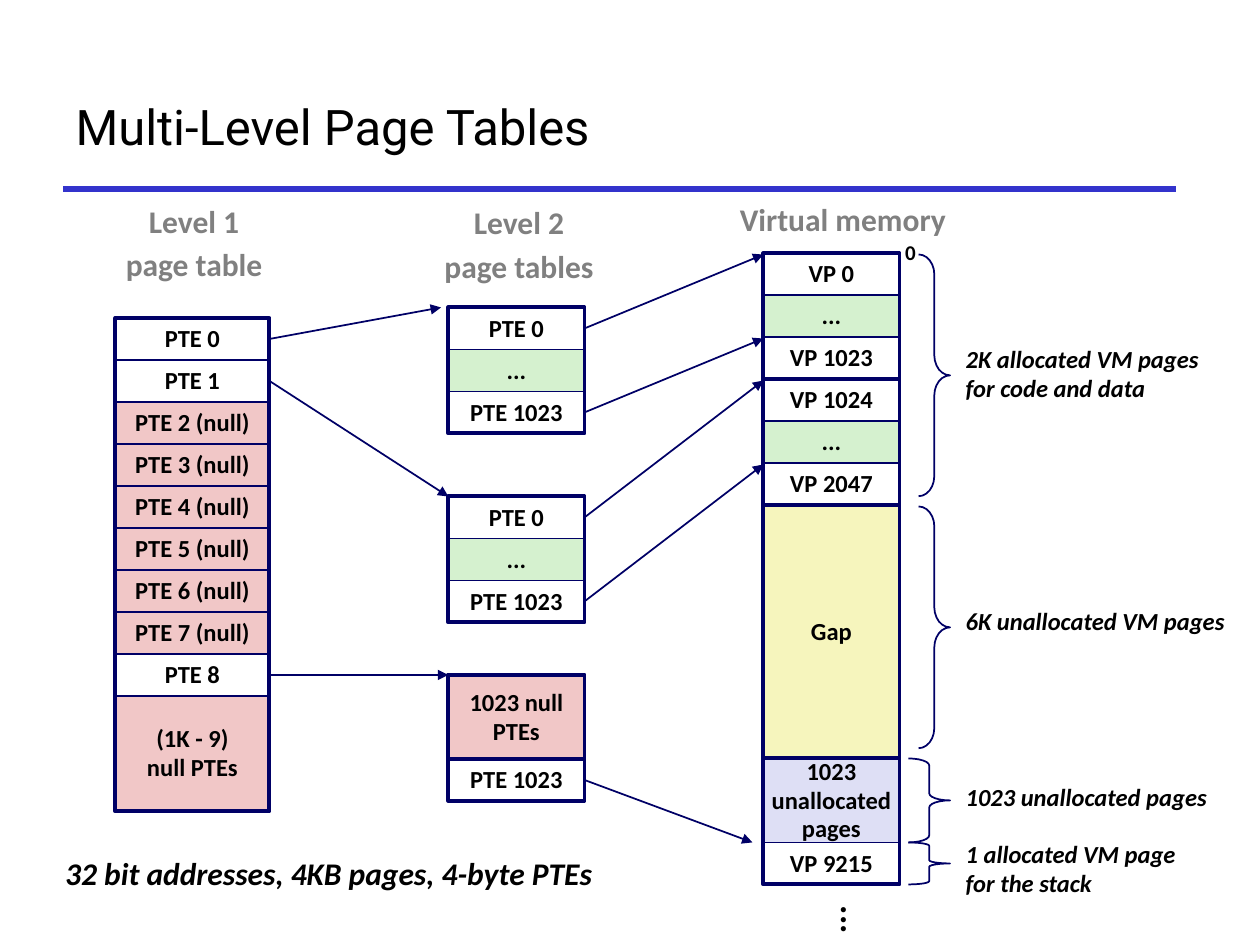
from dataclasses import dataclass

from lxml import etree
from pptx import Presentation
from pptx import util as u
from pptx.dml.color import RGBColor
from pptx.enum import shapes, text
from pptx.oxml import ns

Pt = u.Pt


@dataclass(frozen=True)
class Theme:
    title_font: str = "Roboto"
    body_font: str = "Calibri"
    black: str = "000000"
    grey: str = "808080"
    navy: str = "000066"
    rule: str = "3333CC"
    green: str = "D5F1CF"
    pink: str = "F1C7C7"
    yellow: str = "F6F5BD"
    lilac: str = "DEDFF5"
    title_size: int = 28
    dots_size: int = 20
    heading_size: int = 18
    label_size: int = 14
    mark_size: int = 12
    thin: float = 1
    thick: float = 2.25
    rule_width: float = 3


THEME = Theme()
ROW = 24
TABLE_WIDTH = 77.8
LEVEL1_LEFT, LEVEL1_WIDTH, LEVEL1_TOP = 66, 88, 181.7
LEVEL2_LEFT = 256.2
LEVEL2_TOPS = (175.7, 283.7, 385.7)
MEMORY_LEFT, MEMORY_TOP = 436.2, 144.7
GAP_HEIGHT = 144.7
GAP_TOP = MEMORY_TOP + 6 * ROW
STACK_TOP = GAP_TOP + GAP_HEIGHT
LEFT, CENTER = text.PP_ALIGN.LEFT, text.PP_ALIGN.CENTER
MIDDLE, TOP = text.MSO_ANCHOR.MIDDLE, text.MSO_ANCHOR.TOP


def write_lines(frame, lines, size, color=THEME.black, align=CENTER,
                spacing=0.98, gap=0, italic=False):
    for index, line in enumerate(lines.split("\n")):
        para = frame.paragraphs[0] if index == 0 else frame.add_paragraph()
        para.alignment = align
        para.line_spacing = spacing
        para.space_before = Pt(gap if index else 0)
        span = para.add_run()
        span.text = line
        font = span.font
        font.name, font.size = THEME.body_font, Pt(size)
        font.bold, font.italic = True, italic
        font.color.rgb = RGBColor.from_string(color)


def add_title(page, wording):
    title = page.shapes.title
    title.left, title.top, title.width, title.height = Pt(36), Pt(36), Pt(636), Pt(72)
    title.text_frame.vertical_anchor = MIDDLE
    para = title.text_frame.paragraphs[0]
    para.alignment = LEFT
    span = para.add_run()
    span.text = wording
    span.font.name, span.font.size = THEME.title_font, Pt(THEME.title_size)
    span.font.color.rgb = RGBColor.from_string(THEME.black)


def add_label(page, left, top, width, height, lines, size, anchor=MIDDLE, **style):
    box = page.shapes.add_textbox(Pt(left), Pt(top), Pt(width), Pt(height))
    frame = box.text_frame
    frame.word_wrap = False
    frame.auto_size = text.MSO_AUTO_SIZE.SHAPE_TO_FIT_TEXT
    frame.vertical_anchor = anchor
    write_lines(frame, lines, size, **style)
    return box


def add_outline(page, kind, left, top, width, height, fill=None,
                line=THEME.navy, weight=THEME.thin):
    box = page.shapes.add_shape(kind, Pt(left), Pt(top), Pt(width), Pt(height))
    box.shadow.inherit = False
    if fill:
        box.fill.solid()
        box.fill.fore_color.rgb = RGBColor.from_string(fill)
    else:
        box.fill.background()
    box.line.color.rgb = RGBColor.from_string(line)
    box.line.width = Pt(weight)
    return box


def add_cells(page, left, top, width, entries):
    cells = []
    first_top = top
    for label, fill, height, line, weight in entries:
        cell = add_outline(page, shapes.MSO_SHAPE.RECTANGLE, left, top, width,
                           height, fill, line, weight)
        cell.text_frame.word_wrap = False
        cell.text_frame.vertical_anchor = MIDDLE
        write_lines(cell.text_frame, label, THEME.label_size)
        cells.append(cell)
        top += height
    add_outline(page, shapes.MSO_SHAPE.RECTANGLE, left, first_top, width,
                top - first_top, weight=THEME.thick)
    return cells


def entry(label, fill=None, height=ROW, line=THEME.navy, weight=THEME.thin):
    return label, fill, height, line, weight


def page_range(kind, first, last):
    return [entry(f"{kind} {first}"), entry("...", THEME.green), entry(f"{kind} {last}")]


def add_line(page, start, end, color=THEME.navy, weight=THEME.thin):
    line = page.shapes.add_connector(shapes.MSO_CONNECTOR.STRAIGHT,
                                     *(Pt(value) for value in start + end))
    line.line.color.rgb = RGBColor.from_string(color)
    line.line.width = Pt(weight)
    etree.SubElement(line._element.spPr, ns.qn("a:effectLst"))
    return line


def add_arrow(page, cell, end):
    arrow = add_line(page, (0, 0), end)
    arrow.begin_connect(cell, 3)
    etree.SubElement(arrow.line._get_or_add_ln(), ns.qn("a:tailEnd"), type="triangle")


def add_brace(page, left, top, width, height, curl):
    brace = add_outline(page, shapes.MSO_SHAPE.RIGHT_BRACE, left, top, width, height)
    brace.adjustments[0] = curl


def add_headings(page):
    for left, top, width, height, lines in (
        (63.4, 114.5, 95, 51.8, "Level 1\npage table"),
        (245.5, 115.2, 102.2, 51.8, "Level 2\npage tables"),
        (414.7, 113.8, 133.9, 25.9, "Virtual memory"),
    ):
        add_label(page, left, top, width, height, lines, THEME.heading_size,
                  anchor=TOP, color=THEME.grey, spacing=0.88, gap=6)


def add_memory(page):
    for first, top in ((0, MEMORY_TOP), (1024, MEMORY_TOP + 3 * ROW)):
        add_cells(page, MEMORY_LEFT, top, TABLE_WIDTH, page_range("VP", first, first + 1023))
    add_cells(page, MEMORY_LEFT, GAP_TOP, TABLE_WIDTH,
              [entry("Gap", THEME.yellow, GAP_HEIGHT, weight=THEME.thick)])
    add_cells(page, MEMORY_LEFT, STACK_TOP, TABLE_WIDTH, [
        entry("1023\nunallocated\npages", THEME.lilac, 2 * ROW, THEME.lilac),
        entry("VP 9215"),
    ])
    add_label(page, 509.8, 133.9, 20.9, 21.6, "0", THEME.mark_size)
    dots = add_label(page, 461.5, 510.5, 39.6, 26.6, "...", THEME.dots_size,
                     anchor=TOP, align=None, spacing=0.88)
    dots.text_frame._txBody.bodyPr.set("vert", "eaVert")
    dots.text_frame.paragraphs[0]._p.get_or_add_pPr().set("rtl", "1")


def add_page_tables(page):
    null_entries = [entry(f"PTE {number} (null)", THEME.pink) for number in range(2, 8)]
    level1 = add_cells(page, LEVEL1_LEFT, LEVEL1_TOP, LEVEL1_WIDTH, [
        entry("PTE 0"), entry("PTE 1"), *null_entries, entry("PTE 8"),
        entry("(1K - 9)\nnull PTEs", THEME.pink, 66),
    ])
    full = page_range("PTE", 0, 1023)
    sparse = [entry("1023 null\nPTEs", THEME.pink, 2 * ROW, weight=THEME.thick),
              entry("PTE 1023")]
    level2 = [add_cells(page, LEVEL2_LEFT, top, TABLE_WIDTH, entries)
              for top, entries in zip(LEVEL2_TOPS, (full, full, sparse))]
    for cell, left, top in zip((level1[0], level1[1], level1[8]),
                               (252, LEVEL2_LEFT, LEVEL2_LEFT), LEVEL2_TOPS):
        add_arrow(page, cell, (left, top))
    sources = [table[index] for table in level2[:2] for index in (0, 2)]
    for cell, row in zip(sources, (0, 2, 3, 5)):
        add_arrow(page, cell, (MEMORY_LEFT, MEMORY_TOP + row * ROW + 0.75))
    add_arrow(page, level2[2][1], (430, STACK_TOP + 2 * ROW))


def add_notes_on_memory(page):
    for left, top, width, height, curl in (
        (524.9, MEMORY_TOP + 0.7, 18, 138.2, 0.64),
        (524.9, GAP_TOP + 0.7, 18, 138.2, 0.64),
        (519.1, STACK_TOP, 23.8, 2 * ROW, 0.17),
        (519.1, STACK_TOP + 2 * ROW, 23.8, ROW, 0.08),
    ):
        add_brace(page, left, top, width, height, curl)
    for top, width, height, lines in (
        (193.7, 148.3, 40.3, "2K allocated VM pages\nfor code and data"),
        (343.4, 163.4, 23.8, "6K unallocated VM pages"),
        (444.2, 156.2, 23.8, "1023 unallocated pages"),
        (476.6, 135.4, 40.3, "1 allocated VM page\nfor the stack"),
    ):
        add_label(page, 544.7, top, width, height, lines, THEME.label_size,
                  align=LEFT, italic=True)


def main():
    deck = Presentation()
    deck.slide_width, deck.slide_height = Pt(720), Pt(540)
    page = deck.slides.add_slide(deck.slide_layouts[5])
    add_title(page, "Multi-Level Page Tables")
    add_line(page, (36, 108), (672, 108), THEME.rule, THEME.rule_width)
    add_headings(page)
    add_memory(page)
    add_page_tables(page)
    add_notes_on_memory(page)
    add_label(page, 30.2, 484.6, 323.3, 28.8, "32 bit addresses, 4KB pages, 4-byte PTEs",
              THEME.heading_size, anchor=TOP, align=LEFT, spacing=1, italic=True)
    deck.save("out.pptx")


if __name__ == "__main__":
    main()
